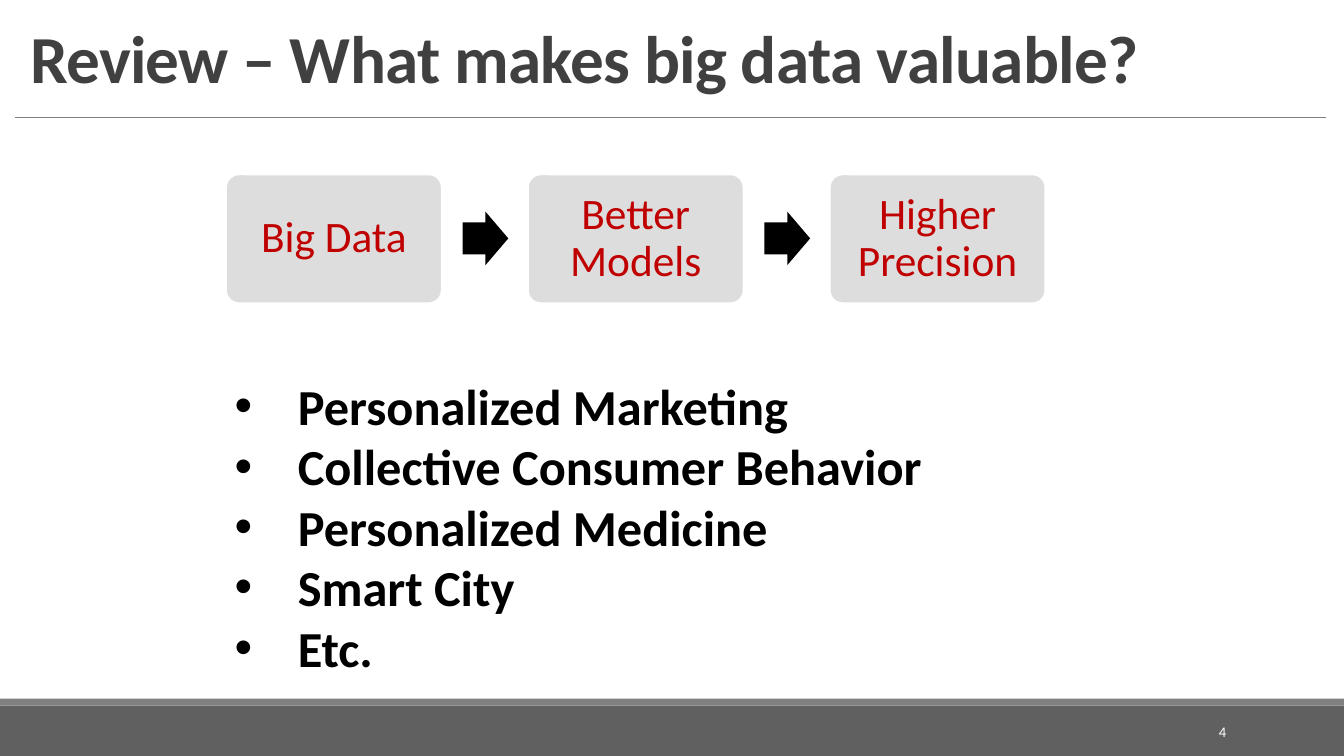
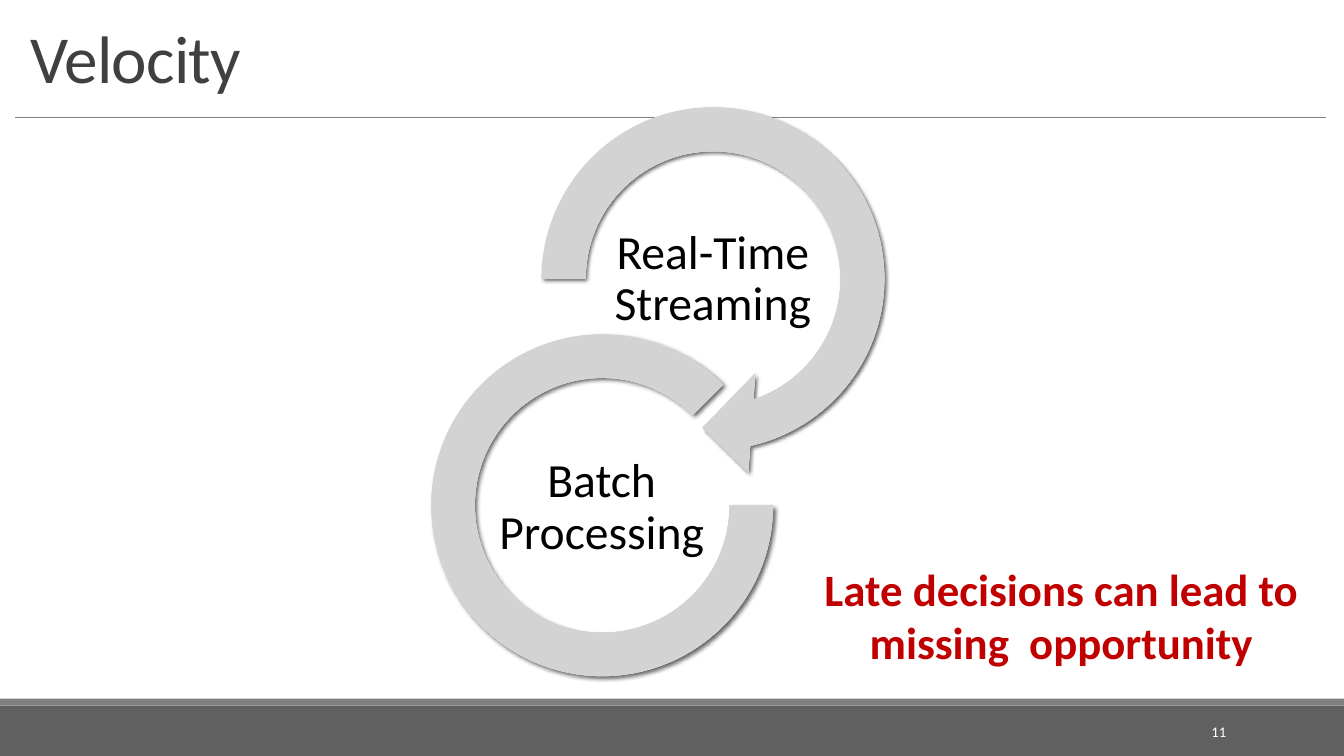
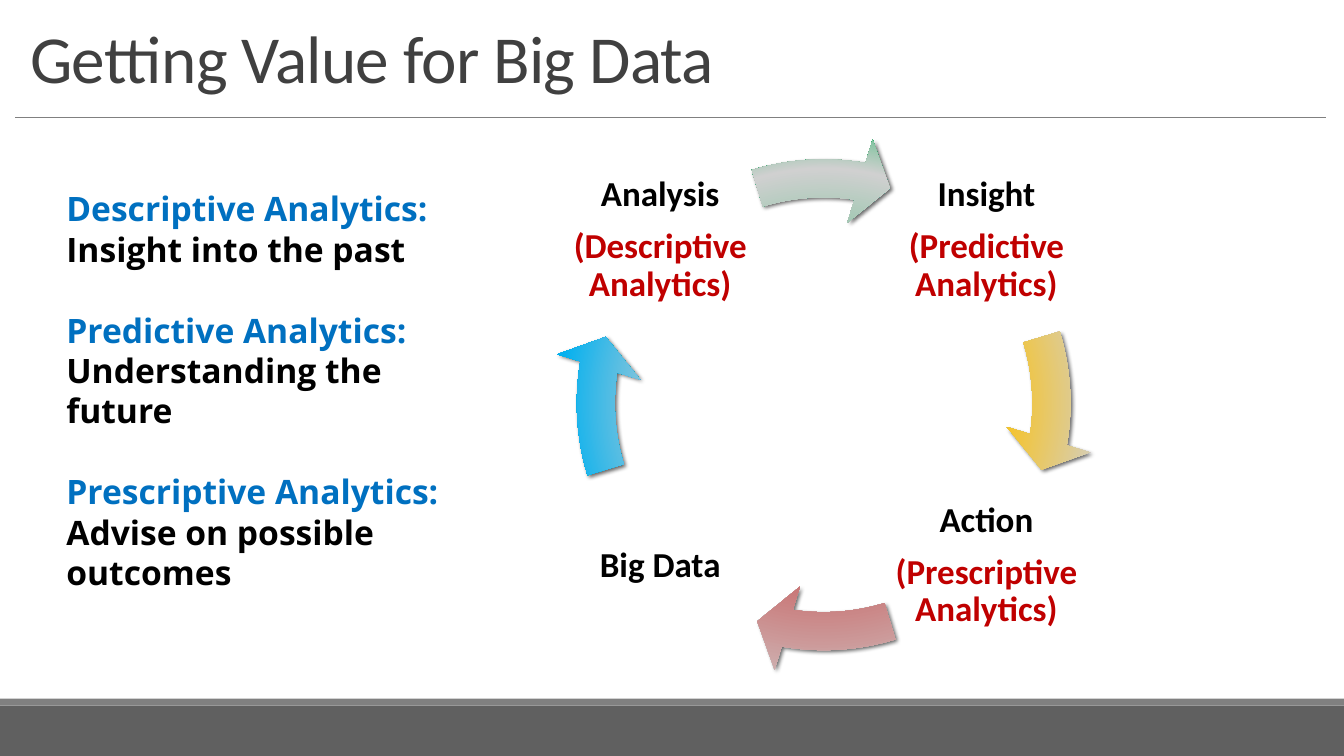
"""Builds three slides on the value of big data."""
from pptx import Presentation
from pptx.dml.color import RGBColor
from pptx.enum.shapes import MSO_CONNECTOR, MSO_SHAPE as Kind
from pptx.enum.text import MSO_ANCHOR as Anchor, PP_ALIGN as Align
from pptx.oxml import parse_xml
from pptx.oxml.ns import nsdecls, qn
from pptx.util import Pt
from lxml import etree

BLACK = RGBColor(0x00, 0x00, 0x00)
WHITE = RGBColor(0xFF, 0xFF, 0xFF)
RED = RGBColor(0xC0, 0x00, 0x00)
BLUE = RGBColor(0x00, 0x70, 0xC0)
INK = RGBColor(0x40, 0x40, 0x40)
DARK = RGBColor(0x60, 0x60, 0x60)
GRAY = RGBColor(0x80, 0x80, 0x80)
PALE = RGBColor(0xDD, 0xDD, 0xDD)
SILVER = [(0, "CECECE"), (34, "D0D0D0"), (70, "D3D3D3"), (100, "DDDDDD")]
FONT = "Calibri"


def add_slide(deck, title, bold=False):
    """Add a slide with its title placed and styled."""
    slide = deck.slides.add_slide(deck.slide_layouts[5])
    head = slide.shapes.title
    head.left, head.top, head.width, head.height = Pt(14.4), Pt(10.8), Pt(931), Pt(62.6)
    frame = head.text_frame
    frame.text = title
    frame.vertical_anchor = Anchor.BOTTOM
    para = frame.paragraphs[0]
    para.alignment = Align.LEFT
    para.line_spacing = 0.85
    style(para, 48, INK, bold)
    para.runs[0]._r.get_or_add_rPr().set("spc", "-50")
    return slide


def style(para, size, color, bold=False, name=FONT):
    """Set the font of a paragraph."""
    font = para.font
    font.name, font.size, font.bold = name, Pt(size), bold
    font.color.rgb = color


def add_shape(slide, kind, box, fill=None, adj=()):
    """Add a flat preset shape without a line."""
    shape = slide.shapes.add_shape(kind, *map(Pt, box))
    shape.shadow.inherit = False
    shape.line.fill.background()
    if fill is not None:
        shape.fill.solid()
        shape.fill.fore_color.rgb = fill
    for i, value in enumerate(adj):
        shape.adjustments[i] = value
    return shape


def add_ring(slide, kind, box, adj, stops):
    """Add a curved shape with a radial gradient and a soft shadow."""
    ring = add_shape(slide, kind, box, adj=adj)
    marks = "".join(
        f'<a:gs pos="{pos * 1000}"><a:srgbClr val="{color}"/></a:gs>' for pos, color in stops)
    props = ring.element.spPr
    props.insert(2, parse_xml(
        f'<a:gradFill {nsdecls("a")} rotWithShape="1"><a:gsLst>{marks}</a:gsLst>'
        '<a:path path="circle"><a:fillToRect l="100000" t="100000" r="100000" b="100000"/>'
        '</a:path></a:gradFill>'))
    props.find(qn("a:effectLst")).append(parse_xml(
        f'<a:outerShdw {nsdecls("a")} blurRad="{Pt(3)}" dist="{Pt(2)}" dir="2700000" '
        'algn="tl" rotWithShape="0"><a:srgbClr val="000000"><a:alpha val="60000"/>'
        '</a:srgbClr></a:outerShdw>'))


def set_frame(frame, inset=None, anchor=Anchor.TOP):
    """Wrap a text frame and set its insets and anchor."""
    frame.word_wrap = True
    frame.vertical_anchor = anchor
    if inset is not None:
        frame.margin_left = frame.margin_right = Pt(inset)
        frame.margin_top = frame.margin_bottom = Pt(inset)


def add_text(slide, box, inset=None, anchor=Anchor.TOP):
    """Add a text box and return its frame."""
    frame = slide.shapes.add_textbox(*map(Pt, box)).text_frame
    set_frame(frame, inset, anchor)
    return frame


def add_paras(frame, count):
    """Yield the given number of paragraphs of a new frame."""
    yield frame.paragraphs[0]
    for _ in range(count - 1):
        yield frame.add_paragraph()


def fill_label(frame, lines, size, bold=False):
    """Write centred lines, each a text and a colour."""
    for i, (para, (text, color)) in enumerate(zip(add_paras(frame, len(lines)), lines)):
        para.text = text
        para.alignment = Align.CENTER
        para.line_spacing = 0.9
        if i:
            para.space_before = Pt(10)
        style(para, size, color, bold)


def add_number(slide, number):
    """Add the slide number on the footer band."""
    frame = add_text(slide, (780, 508.3, 103, 28.8), anchor=Anchor.MIDDLE)
    para = frame.paragraphs[0]
    para.text = number
    para.alignment = Align.RIGHT
    style(para, 10.5, WHITE)


def add_bands(slide):
    """Draw the title rule and footer bands and move them to the layout."""
    layout = slide.slide_layout
    for holder in list(layout.placeholders)[1:]:
        holder.element.getparent().remove(holder.element)
    foot = add_shape(slide, Kind.RECTANGLE, (0, 504, 960, 36), DARK)
    strip = add_shape(slide, Kind.RECTANGLE, (0, 499, 960, 5), GRAY)
    rule = slide.shapes.add_connector(
        MSO_CONNECTOR.STRAIGHT, Pt(10.8), Pt(83.6), Pt(947.5), Pt(83.6))
    rule.line.color.rgb = GRAY
    rule.line.width = Pt(0.5)
    etree.SubElement(rule.element.spPr, qn("a:effectLst"))
    for part in (foot, strip, rule):
        layout.shapes.element.append(part.element)


def add_bullets(slide, box, items):
    """Add a bold bulleted list."""
    frame = add_text(slide, box)
    for para, item in zip(add_paras(frame, len(items)), items):
        para.text = item
        props = para._p.get_or_add_pPr()
        props.set("marL", str(Pt(45)))
        props.set("indent", str(Pt(-45)))
        etree.SubElement(props, qn("a:buFont"), typeface="Arial")
        etree.SubElement(props, qn("a:buChar"), char="•")
        style(para, 36, BLACK, True)


def add_steps(slide, labels):
    """Add a row of rounded boxes with block arrows between them."""
    left, pitch = 161.5, 215.6
    for i, label in enumerate(labels):
        x = left + i * pitch
        if i:
            add_shape(slide, Kind.RIGHT_ARROW, (x - 46.6, 151.2, 32.6, 38.2), BLACK, (0.6, 0.5))
        step = add_shape(slide, Kind.ROUNDED_RECTANGLE, (x, 124.6, 154, 92), PALE, (0.1,))
        step.line.color.rgb = WHITE
        step.line.width = Pt(1.25)
        set_frame(step.text_frame, 12, Anchor.MIDDLE)
        fill_label(step.text_frame, [(label, RED)], 31)


def add_cycle(slide):
    """Add four labels in a square and the arrows that circle them."""
    labels = [
        ("Insight", "(Predictive Analytics)"),
        ("Action", "(Prescriptive Analytics)"),
        ("Big Data",),
        ("Analysis", "(Descriptive Analytics)"),
    ]
    cells = [(1, 0), (1, 1), (0, 1), (0, 0)]
    fills = [
        [(0, "CECECE"), (41, "FFC000"), (76, "D0D0D0"), (100, "DDDDDD")],
        [(0, "C00000"), (85, "D0D0D0"), (94, "D3D3D3"), (100, "DDDDDD")],
        [(0, "CECECE"), (34, "D0D0D0"), (70, "00B0F0"), (100, "DDDDDD")],
        [(0, "00B050"), (62, "D0D0D0"), (85, "00B050"), (100, "DDDDDD")],
    ]
    tops = [94.4, 94.4, 94.4, 96.4]
    for i, (label, (col, row), stops, top) in enumerate(zip(labels, cells, fills, tops)):
        box = (403.2 + 233 * col, 103 + 232.8 * row, 136.8, 136.8)
        frame = add_text(slide, box, 2.2, Anchor.MIDDLE)
        fill_label(frame, list(zip(label, (BLACK, RED))), 25, True)
        turn = 54 * i
        adj = (0.07, 4.65, 5.51 + turn, (205.84 + turn) % 216, 0.08)
        add_ring(slide, Kind.CIRCULAR_ARROW, (394.6, top, 387.4, 387.4), adj, stops)


def add_terms(slide, box):
    """Add the three kinds of analytics with their meanings."""
    paras = [
        (0, [("Descriptive Analytics:", BLUE)]),
        (0, [("Insight into the past", BLACK)]),
        (29, [("Predictive Analytics: ", BLUE), ("Understanding the future", BLACK)]),
        (29, [("Prescriptive Analytics: ", BLUE), ("Advise on possible outcomes", BLACK)]),
    ]
    frame = add_text(slide, box)
    for para, (gap, runs) in zip(add_paras(frame, len(paras)), paras):
        if gap:
            para.space_before = Pt(gap)
        style(para, 24, BLACK, True, "Open Sans")
        for text, color in runs:
            run = para.add_run()
            run.text = text
            run.font.color.rgb = color


def build_review(deck):
    """Build the slide on what makes big data valuable."""
    slide = add_slide(deck, "Review – What makes big data valuable?", True)
    add_bands(slide)
    add_number(slide, "4")
    add_steps(slide, ["Big Data", "Better Models", "Higher Precision"])
    add_bullets(slide, (160.6, 264.2, 554.4, 269.3), [
        "Personalized Marketing", "Collective Consumer Behavior",
        "Personalized Medicine", "Smart City", "Etc."])


def build_speed(deck):
    """Build the slide on velocity."""
    slide = add_slide(deck, "Velocity")
    add_number(slide, "11")
    add_ring(slide, Kind.CIRCULAR_ARROW, (367.2, 56.9, 284.4, 284.4),
             (0.11, 11.42, 45, 108, 0.125), SILVER)
    add_ring(slide, Kind.BLOCK_ARC, (308.2, 239, 244, 244), (0, 189, 0.127), SILVER)
    for x, y, label in [(430, 160, "Real-Time Streaming"), (350.6, 323.4, "Batch Processing")]:
        frame = add_text(slide, (x, y, 158.4, 79.2), 1.4, Anchor.MIDDLE)
        fill_label(frame, [(label, BLACK)], 34)
    para = add_text(slide, (571.7, 397.4, 373, 85)).paragraphs[0]
    para.text = "Late decisions can lead to missing  opportunity"
    para.alignment = Align.CENTER
    style(para, 32, RED, True)


def build_value(deck):
    """Build the slide on getting value from data."""
    slide = add_slide(deck, "Getting Value for Big Data")
    add_cycle(slide)
    add_terms(slide, (40.3, 131, 317.5, 269.3))


def main():
    """Build and save the deck."""
    deck = Presentation()
    deck.slide_width, deck.slide_height = Pt(960), Pt(540)
    build_review(deck)
    build_speed(deck)
    build_value(deck)
    deck.save("out.pptx")


if __name__ == "__main__":
    main()
